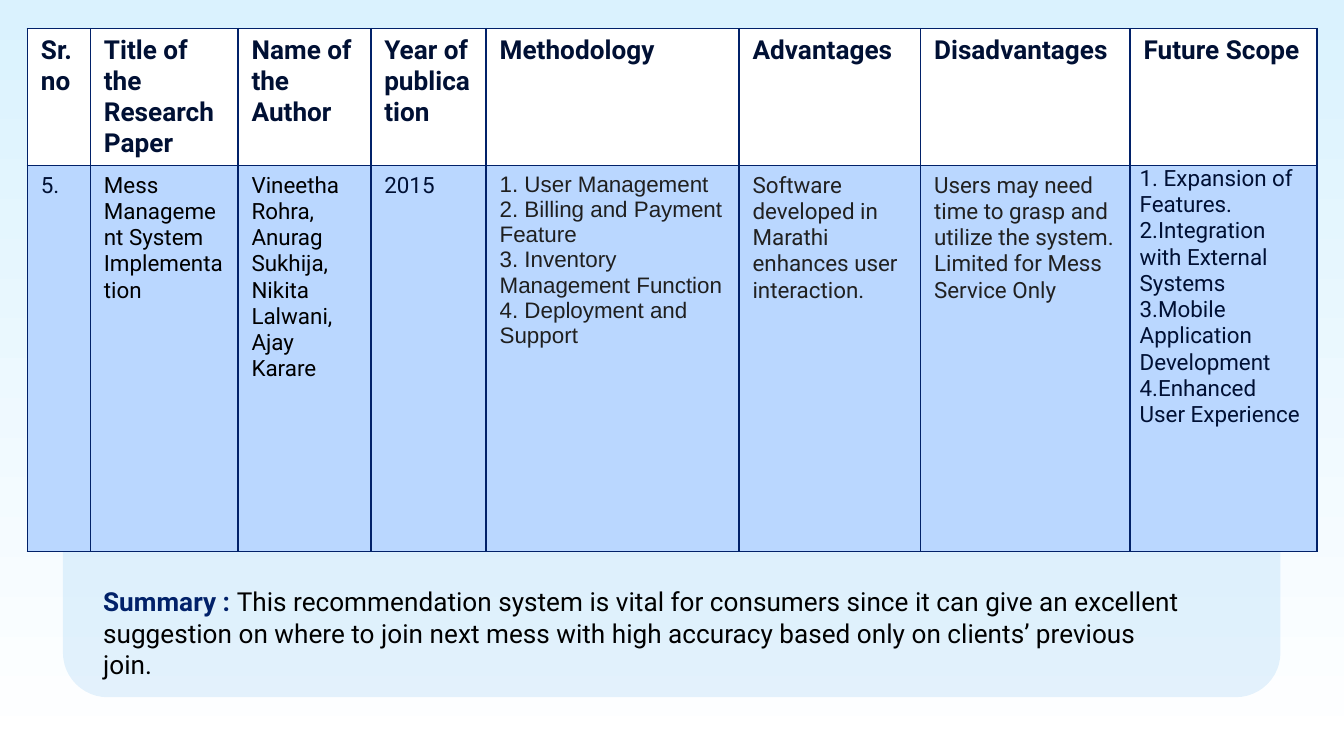
import pptx
import pptx.dml.color
import pptx.enum.shapes
import pptx.enum.text
import pptx.oxml
import pptx.oxml.ns
import pptx.util
from lxml import etree

Cm = pptx.util.Cm
Pt = pptx.util.Pt
COLORS = {
    "white": "FFFFFF", "sky": "DAF2FE", "panel": "0388E5", "line": "012169",
    "navy": "001034", "row": "BAD7FF", "black": "000000", "gray": "212121",
    "ink": "1F1F1F",
}
COLUMNS = [
    ("Sr.no", 1.19), ("Title of the Research Paper", 2.79),
    ("Name of the Author", 2.51), ("Year of publication", 2.18),
    ("Methodology", 4.78), ("Advantages", 3.43),
    ("Disadvantages", 3.96), ("Future Scope", 3.53),
]
PAPER = [
    ("5.", "navy", "Roboto"),
    ("Mess Management System Implementation", "black", "Roboto"),
    ("Vineetha Rohra, Anurag Sukhija, Nikita Lalwani, Ajay Karare", "black", "Roboto"),
    ("2015", "navy", "Roboto"),
    ("1. User Management\n2. Billing and Payment Feature\n"
     "3. Inventory Management Function\n4. Deployment and Support", "ink", "Arial"),
    ("Software developed in Marathi enhances user interaction.", "gray", "Roboto"),
    ("Users may need time to grasp and utilize the system.\n"
     "Limited for Mess Service Only", "gray", "Roboto"),
    ("1. Expansion of Features. 2.Integration with External Systems\n"
     "3.Mobile Application Development\n4.Enhanced User Experience", "navy", "Roboto"),
]
SUMMARY = [
    [("Summary : ", "line", True),
     ("This recommendation system is vital for consumers since it can give an excellent "
      "suggestion on where to join next mess with high accuracy based only on clients’ "
      "previous", "black", False)],
    [("join.", "black", False)],
]


class SlideBuilder:
    """Holds the style and the current slide, and adds its elements."""

    def __init__(self, s):
        self.s = s

    def rgb(self, name):
        return pptx.dml.color.RGBColor.from_string(COLORS[name])

    def style_run(self, r, color, size, bold=False, font="Roboto"):
        r.font.name = font
        r.font.size = Pt(size)
        r.font.bold = bold
        r.font.color.rgb = self.rgb(color)

    def background(self, bottom, top):
        fill = self.s.background.fill
        fill.gradient()
        fill.gradient_angle = 90
        for stop, color, position in zip(fill.gradient_stops, (bottom, top), (0, 1)):
            stop.color.rgb = self.rgb(color)
            stop.position = position

    def panel(self, left, top, width, height, color, opacity):
        sp = self.s.shapes.add_shape(
            pptx.enum.shapes.MSO_SHAPE.ROUNDED_RECTANGLE,
            Cm(left), Cm(top), Cm(width), Cm(height))
        sp.adjustments[0] = 0.07
        sp.shadow.inherit = False
        sp.line.fill.background()
        sp.fill.solid()
        sp.fill.fore_color.rgb = self.rgb(color)
        clr = sp.fill._xPr.find(".//" + pptx.oxml.ns.qn("a:srgbClr"))
        etree.SubElement(clr, pptx.oxml.ns.qn("a:alpha"), val=str(opacity * 1000))

    def borders(self, cell):
        tcPr = cell._tc.get_or_add_tcPr()
        for side in ("lnL", "lnR", "lnT", "lnB"):
            tcPr.append(pptx.oxml.parse_xml(
                f'<a:{side} {pptx.oxml.ns.nsdecls("a")} w="{Pt(1)}"><a:solidFill>'
                f'<a:srgbClr val="{COLORS["line"]}"/></a:solidFill></a:{side}>'))

    def cell(self, cell, text, fill, color, size, bold=False, font="Roboto"):
        self.borders(cell)
        cell.fill.solid()
        cell.fill.fore_color.rgb = self.rgb(fill)
        cell.text_frame.text = text
        for p in cell.text_frame.paragraphs:
            for r in p.runs:
                self.style_run(r, color, size, bold, font)

    def table(self, left, top, columns, heights, paper):
        width = sum(w for _, w in columns)
        table = self.s.shapes.add_table(
            len(heights), len(columns), Cm(left), Cm(top),
            Cm(width), Cm(sum(heights))).table
        table.first_row = table.horz_banding = False
        for row, height in zip(table.rows, heights):
            row.height = Cm(height)
        for i, ((title, w), (text, color, font)) in enumerate(zip(columns, paper)):
            table.columns[i].width = Cm(w)
            self.cell(table.cell(0, i), title, "white", "navy", 14, bold=True)
            self.cell(table.cell(1, i), text, "row", color, 12, font=font)
        return table

    def text(self, left, top, width, height, paragraphs, size):
        sp = self.s.shapes.add_textbox(Cm(left), Cm(top), Cm(width), Cm(height))
        tf = sp.text_frame
        tf.word_wrap = True
        for i, runs in enumerate(paragraphs):
            p = tf.add_paragraph() if i else tf.paragraphs[0]
            for text, color, bold in runs:
                r = p.add_run()
                r.text = text
                self.style_run(r, color, size, bold)


def main():
    prs = pptx.Presentation()
    prs.slide_width, prs.slide_height = Cm(25.4), Cm(14.29)
    slide = SlideBuilder(prs.slides.add_slide(prs.slide_layouts[6]))
    slide.background("white", "sky")
    slide.panel(1.19, 1.12, 23.01, 12.06, "panel", 10)
    table = slide.table(0.52, 0.54, COLUMNS, (2.57, 7.29), PAPER)
    table.cell(1, 0).text_frame.paragraphs[0].alignment = pptx.enum.text.PP_ALIGN.JUSTIFY
    scope = table.cell(1, len(COLUMNS) - 1)
    scope.margin_left = scope.margin_right = Cm(0.18)
    scope.margin_top = scope.margin_bottom = 0
    slide.text(1.7, 10.95, 22.61, 3.33, SUMMARY, 14)
    prs.save("out.pptx")


if __name__ == "__main__":
    main()
